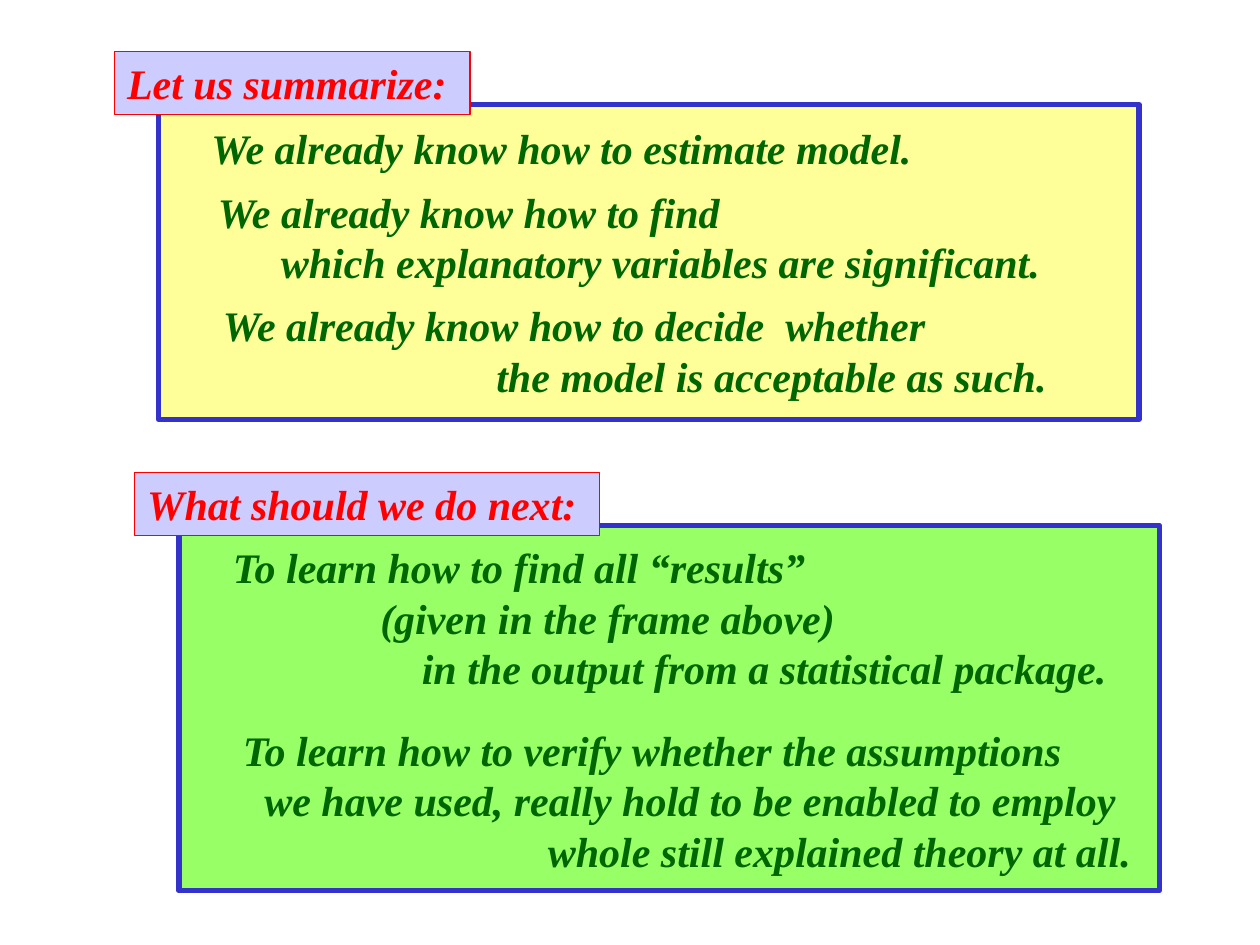
from dataclasses import dataclass

from pptx import Presentation
from pptx.dml.color import RGBColor
from pptx.enum import shapes, text
from pptx.util import Inches, Pt


@dataclass(frozen=True)
class Theme:
    """Colours, type and line widths of the slide."""
    font: str = "Times New Roman"
    size: float = 24
    body: str = "006600"
    accent: str = "FF0000"
    tag: str = "CCCCFF"
    border: str = "3333CC"
    yellow: str = "FFFF99"
    green: str = "99FF66"
    thick: float = 3
    thin: float = 0.75


THEME = Theme()
LINE_HEIGHT = 0.4
TAG_OFFSET = (-0.35, -0.42)


def text_height(lines):
    """Return the height in inches of a box holding the given lines."""
    return 0.1 + LINE_HEIGHT * len(lines)


def write_lines(sp, lines, color):
    """Write (indent, wording) pairs as paragraphs of a shape."""
    tf = sp.text_frame
    tf.word_wrap = True
    tf.vertical_anchor = text.MSO_ANCHOR.TOP
    for i, (indent, wording) in enumerate(lines):
        p = tf.add_paragraph() if i else tf.paragraphs[0]
        p.alignment = text.PP_ALIGN.LEFT
        if indent:
            p._p.get_or_add_pPr().set("marL", str(Inches(indent)))
        r = p.add_run()
        r.text = wording
        r.font.name = THEME.font
        r.font.size = Pt(THEME.size)
        r.font.bold = r.font.italic = True
        r.font.color.rgb = RGBColor.from_string(color)


def add_rect(s, x, y, w, h, fill, line, weight):
    """Add a flat outlined rectangle."""
    sp = s.shapes.add_shape(shapes.MSO_SHAPE.RECTANGLE,
                            Inches(x), Inches(y), Inches(w), Inches(h))
    sp.shadow.inherit = False
    sp.fill.solid()
    sp.fill.fore_color.rgb = RGBColor.from_string(fill)
    sp.line.color.rgb = RGBColor.from_string(line)
    sp.line.width = Pt(weight)
    return sp


def add_panel(s, box, fill, heading, tag_width, statements):
    """Add a framed panel with its statements and overlapping heading tag."""
    x, y, w, h = box
    add_rect(s, x, y, w, h, fill, THEME.border, THEME.thick)
    for dx, dy, width, lines in statements:
        sp = s.shapes.add_textbox(Inches(x + dx), Inches(y + dy),
                                  Inches(width), Inches(text_height(lines)))
        write_lines(sp, lines, THEME.body)
    title = [(0, heading)]
    dx, dy = TAG_OFFSET
    tag = add_rect(s, x + dx, y + dy, tag_width, text_height(title),
                   THEME.tag, THEME.accent, THEME.thin)
    write_lines(tag, title, THEME.accent)


def main():
    """Build the slide and save it."""
    prs = Presentation()
    prs.slide_width, prs.slide_height = Inches(10), Inches(7.5)
    s = prs.slides.add_slide(prs.slide_layouts[6])
    add_panel(s, (1.26, 0.83, 7.78, 2.5), THEME.yellow, "Let us summarize:", 2.82, [
        (0.32, 0.09, 5.86, [(0, "We already know how to estimate model.")]),
        (0.37, 0.6, 6.81, [
            (0, "We already know how to find"),
            (0.5, "which explanatory variables are significant.")]),
        (0.41, 1.5, 6.82, [
            (0, "We already know how to decide  whether"),
            (2.17, "the model is acceptable as such.")]),
    ])
    add_panel(s, (1.42, 4.17, 7.78, 2.9), THEME.green, "What should we do next:", 3.69, [
        (0.33, 0.08, 7.3, [
            (0, "To learn how to find all “results”"),
            (1.17, "(given in the frame above)"),
            (1.5, "in the output from a statistical package.")]),
        (0.41, 1.53, 7.33, [
            (0, "To learn how to verify whether the assumptions"),
            (0.17, "we have used, really hold to be enabled to employ"),
            (2.42, "whole still explained theory at all.")]),
    ])
    prs.save("out.pptx")


if __name__ == "__main__":
    main()
